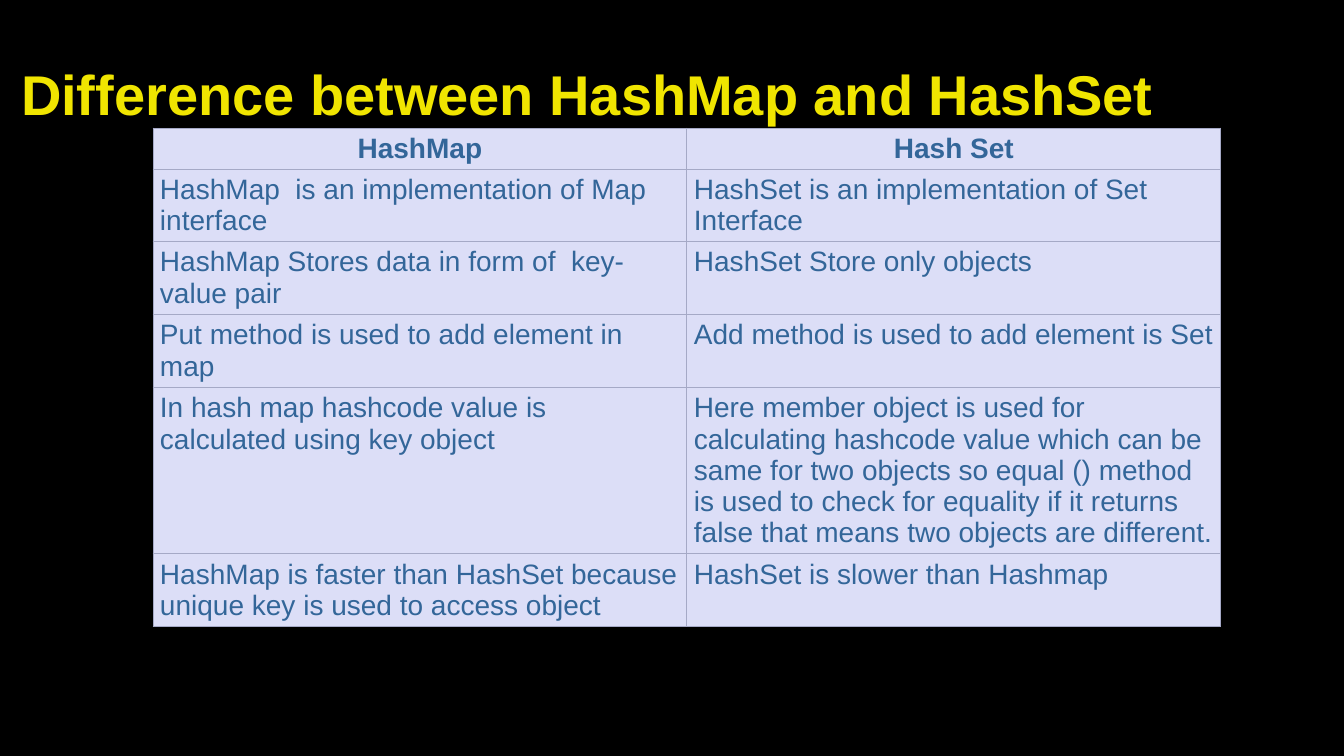
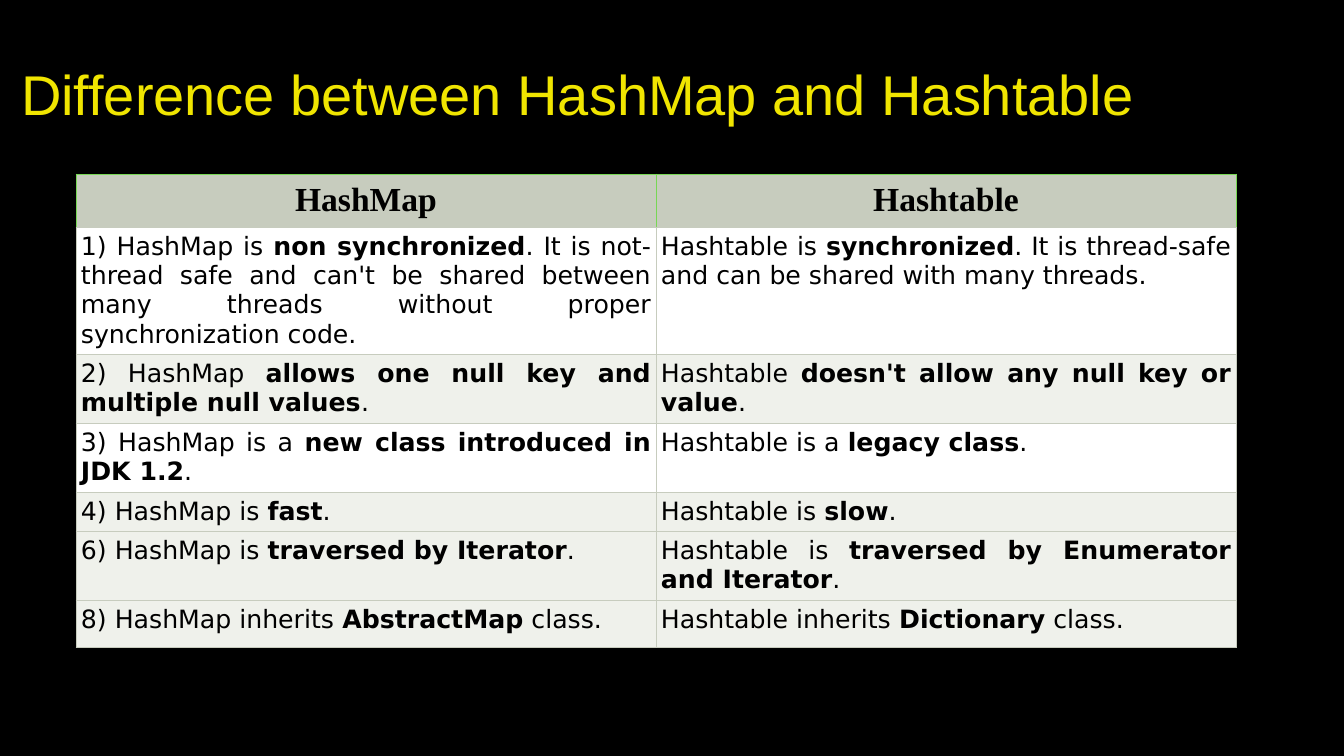
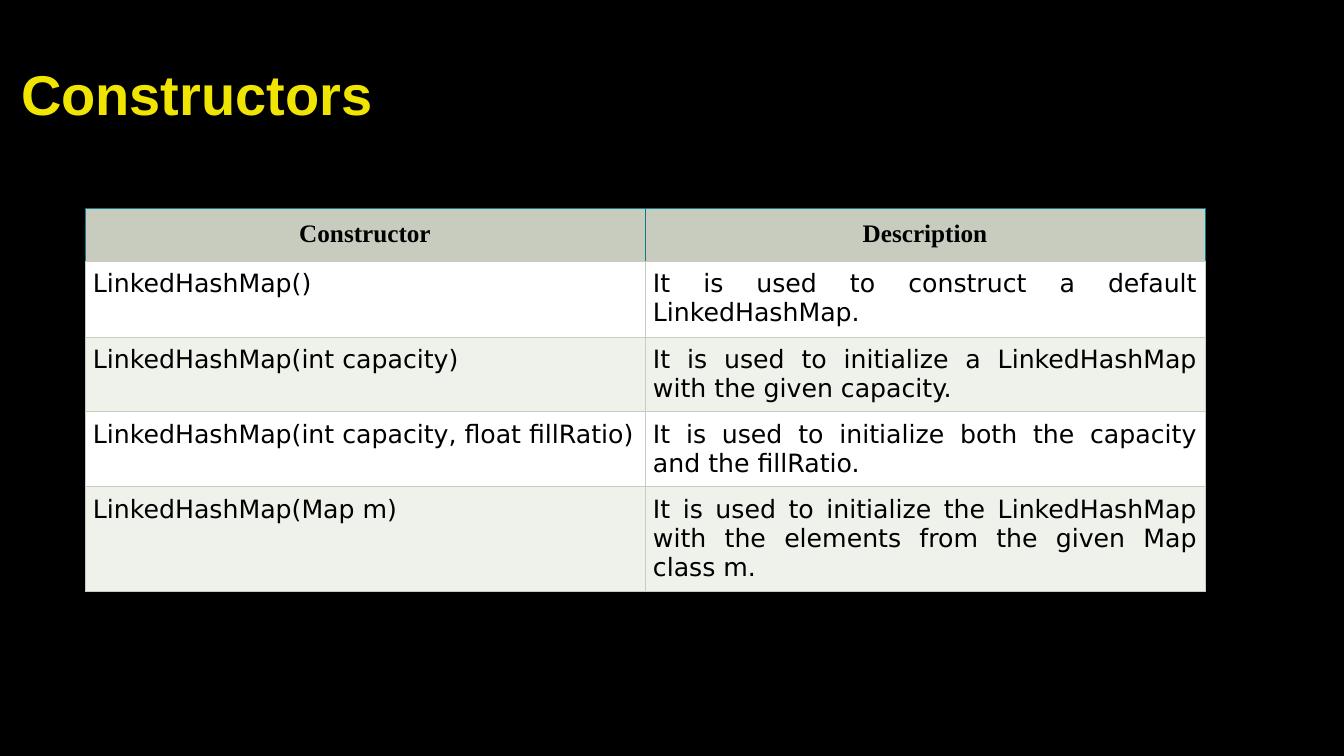
from dataclasses import dataclass

from lxml import etree
from pptx import Presentation
from pptx.dml.color import RGBColor
from pptx.enum.text import MSO_ANCHOR, MSO_AUTO_SIZE, PP_ALIGN
from pptx.oxml.ns import qn
from pptx.util import Pt

LEFT, CENTER, JUSTIFY = PP_ALIGN.LEFT, PP_ALIGN.CENTER, PP_ALIGN.JUSTIFY
MIDDLE = MSO_ANCHOR.MIDDLE
NO_AUTOFIT = MSO_AUTO_SIZE.NONE
TITLE_ONLY = 5
EMU_PER_PX = 914400 / 100.8


@dataclass(frozen=True)
class Theme:
    background: str = "000000"
    title: str = "F0E500"
    title_font: str = "Arial"
    title_size: int = 40
    border_pt: float = 0.75
    lavender: str = "DCDEF7"
    lavender_border: str = "A5A9C6"
    blue_text: str = "336699"
    sage: str = "C7CCBE"
    pale_sage: str = "EFF1EB"
    white: str = "FFFFFF"
    black: str = "000000"
    green: str = "78D755"
    teal: str = "107988"
    large: int = 24
    medium: int = 20
    small: int = 18
    serif: str = "Times New Roman"
    sans: str = "DejaVu Sans"


THEME = Theme()


@dataclass(frozen=True)
class RowStyle:
    font: str
    size: int
    color: str
    align: PP_ALIGN
    insets: tuple
    fills: tuple
    border: str
    edge: str
    bold: bool = False


def px(length):
    return round(length * EMU_PER_PX)


def lavender_row(align, bold):
    return RowStyle(THEME.title_font, THEME.medium, THEME.blue_text, align, (7, 5),
                    (THEME.lavender,), THEME.lavender_border, THEME.lavender_border, bold)


def sage_header(size, inset, edge):
    return RowStyle(THEME.serif, size, THEME.black, CENTER, (inset, inset),
                    (THEME.sage,), THEME.sage, edge, True)


def sage_body(inset):
    fills = (THEME.white, THEME.pale_sage, THEME.white, THEME.pale_sage)
    return RowStyle(THEME.sans, THEME.small, THEME.black, JUSTIFY, (inset, inset),
                    fills, THEME.sage, THEME.sage)


class Deck:
    """Builds dark slides, each with a title and a two-column table."""

    def __init__(self, theme):
        self.theme = theme
        self.prs = Presentation()
        self.prs.slide_width, self.prs.slide_height = px(1344), px(756)
        backdrop = self.prs.slide_master.background.fill
        backdrop.solid()
        backdrop.fore_color.rgb = RGBColor.from_string(theme.background)
        self.slide = None

    def add_slide(self, heading, bold=True):
        self.slide = self.prs.slides.add_slide(self.prs.slide_layouts[TITLE_ONLY])
        title = self.slide.shapes.title
        title.left, title.top, title.width, title.height = map(px, (11, 30, 1210, 126))
        frame = title.text_frame
        frame.word_wrap = True
        frame.auto_size = NO_AUTOFIT
        frame.vertical_anchor = MIDDLE
        paragraph = frame.paragraphs[0]
        paragraph.alignment = LEFT
        self.add_run(paragraph, heading, self.theme.title_font, self.theme.title_size,
                     self.theme.title, bold)

    def add_run(self, paragraph, text, font, size, color, bold):
        run = paragraph.add_run()
        run.text = text
        run.font.name, run.font.size, run.font.bold = font, Pt(size), bold
        run.font.color.rgb = RGBColor.from_string(color)

    def add_table(self, left, top, column_width, heights, rows, header, body):
        table = self.slide.shapes.add_table(
            len(rows), 2, px(left), px(top), px(2 * column_width), px(sum(heights))).table
        table.horz_banding = False
        for column in table.columns:
            column.width = px(column_width)
        for index, (height, texts) in enumerate(zip(heights, rows)):
            table.rows[index].height = px(height)
            style = body if index else header
            fill = style.fills[min(max(index - 1, 0), len(style.fills) - 1)]
            for column, text in enumerate(texts):
                self.fill_cell(table.cell(index, column), text, style, fill)

    def fill_cell(self, cell, text, style, fill):
        across, down = map(px, style.insets)
        cell.margin_left = cell.margin_right = across
        cell.margin_top = cell.margin_bottom = down
        self.add_borders(cell, style)
        cell.fill.solid()
        cell.fill.fore_color.rgb = RGBColor.from_string(fill)
        paragraph = cell.text_frame.paragraphs[0]
        paragraph.alignment = style.align
        parts = (text,) if isinstance(text, str) else text
        for position, part in enumerate(parts):
            self.add_run(paragraph, part, style.font, style.size, style.color,
                         style.bold or position % 2 == 1)

    def add_borders(self, cell, style):
        properties = cell._tc.get_or_add_tcPr()
        for side in "LRTB":
            line = etree.SubElement(properties, qn(f"a:ln{side}"),
                                    w=str(Pt(self.theme.border_pt)))
            solid = etree.SubElement(line, qn("a:solidFill"))
            etree.SubElement(solid, qn("a:srgbClr"),
                             val=style.border if side == "B" else style.edge)


HASHSET_ROWS = [
    ("HashMap", "Hash Set"),
    ("HashMap  is an implementation of Map interface",
     "HashSet is an implementation of Set Interface"),
    ("HashMap Stores data in form of  key-value pair", "HashSet Store only objects"),
    ("Put method is used to add element in map", "Add method is used to add element is Set"),
    ("In hash map hashcode value is calculated using key object",
     "Here member object is used for calculating hashcode value which can be same for two "
     "objects so equal () method is used to check for equality if it returns false that means "
     "two objects are different."),
    ("HashMap is faster than HashSet because unique key is used to access object",
     "HashSet is slower than Hashmap"),
]

HASHTABLE_ROWS = [
    ("HashMap", "Hashtable"),
    (("1) HashMap is ", "non synchronized",
      ". It is not-thread safe and can't be shared between many threads without proper "
      "synchronization code."),
     ("Hashtable is ", "synchronized",
      ". It is thread-safe and can be shared with many threads.")),
    (("2) HashMap ", "allows one null key and multiple null values", "."),
     ("Hashtable ", "doesn't allow any null key or value", ".")),
    (("3) HashMap is a ", "new class introduced in JDK 1.2", "."),
     ("Hashtable is a ", "legacy class", ".")),
    (("4) HashMap is ", "fast", "."), ("Hashtable is ", "slow", ".")),
    (("6) HashMap is ", "traversed by Iterator", "."),
     ("Hashtable is ", "traversed by Enumerator and Iterator", ".")),
    (("8) HashMap inherits ", "AbstractMap", " class."),
     ("Hashtable inherits ", "Dictionary", " class.")),
]

CONSTRUCTOR_ROWS = [
    ("Constructor", "Description"),
    ("LinkedHashMap()", "It is used to construct a default LinkedHashMap."),
    ("LinkedHashMap(int capacity)",
     "It is used to initialize a LinkedHashMap with the given capacity."),
    ("LinkedHashMap(int capacity, float fillRatio)",
     "It is used to initialize both the capacity and the fillRatio."),
    ("LinkedHashMap(Map m)",
     "It is used to initialize the LinkedHashMap with the elements from the given Map class m."),
]


def main():
    deck = Deck(THEME)

    deck.add_slide("Difference between HashMap and HashSet")
    deck.add_table(153, 128, 534, (41, 72, 73, 73, 166, 73), HASHSET_ROWS,
                   lavender_row(CENTER, True), lavender_row(LEFT, False))

    deck.add_slide("Difference between HashMap and Hashtable", bold=False)
    deck.add_table(76, 174, 580, (52, 127, 69, 69, 39, 69, 47), HASHTABLE_ROWS,
                   sage_header(THEME.large, 8, THEME.green), sage_body(5))

    deck.add_slide("Constructors")
    deck.add_table(85, 208, 560, (53, 76, 75, 75, 105), CONSTRUCTOR_ROWS,
                   sage_header(THEME.small, 12, THEME.teal), sage_body(8))

    deck.prs.save("out.pptx")


if __name__ == "__main__":
    main()
